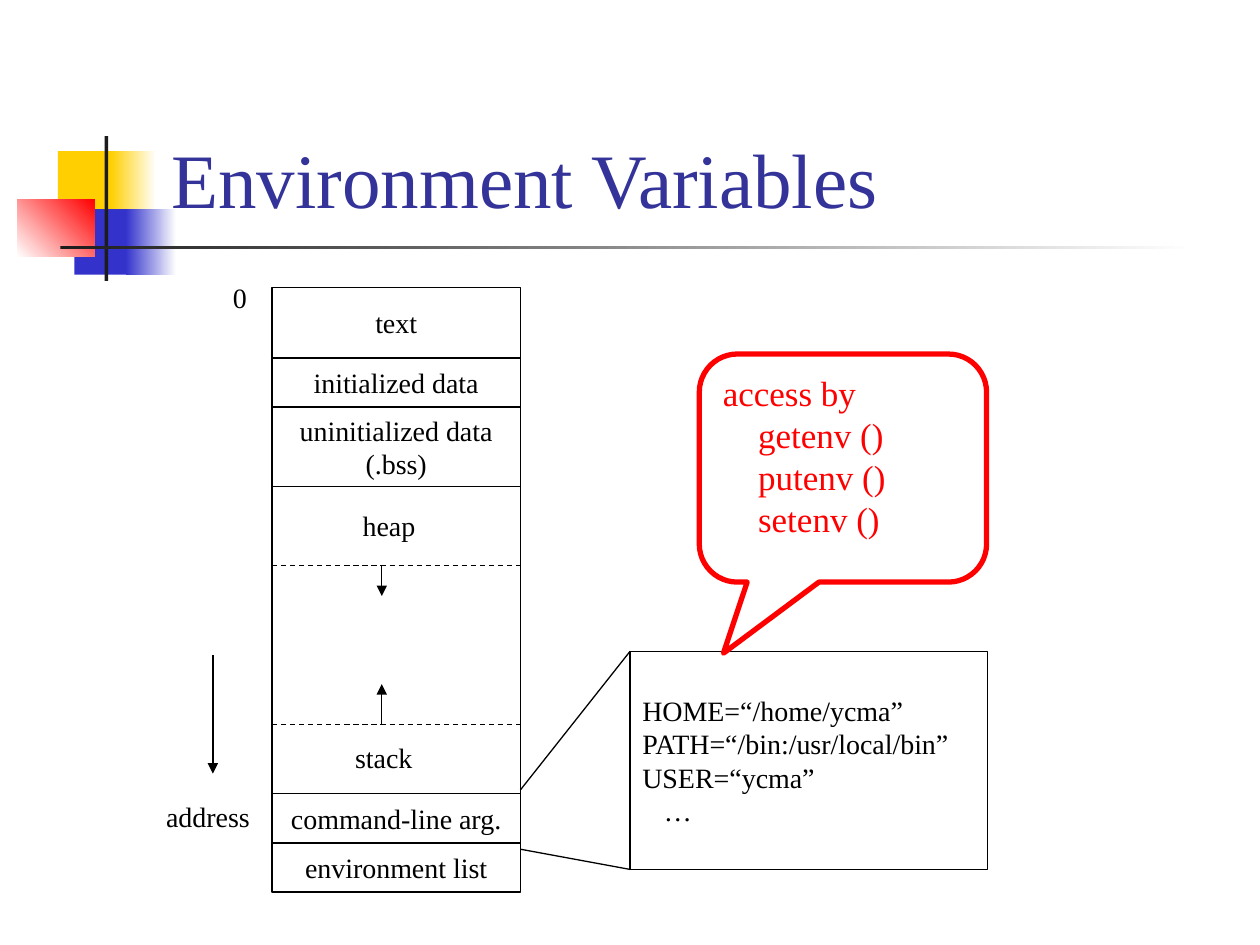
import pptx
import pptx.util
import pptx.dml.color
import pptx.enum.dml
import pptx.enum.shapes
import pptx.enum.text
import pptx.oxml.ns
from lxml import etree

INCH = pptx.util.Inches
KIND = pptx.enum.shapes.MSO_SHAPE
ALIGN = pptx.enum.text.PP_ALIGN
ANCHOR = pptx.enum.text.MSO_ANCHOR
FONT = "Times New Roman"
BLACK, WHITE, RED = "000000", "FFFFFF", "FF0000"
GOLD, BLUE, DARK, NAVY = "FFCF01", "3333CC", "1C1C1C", "333399"

TITLE = "Environment Variables"
DECOR = [
    ((0.46, 1.2, 0.48, 0.52), [GOLD], 0),
    ((0.88, 1.2, 0.36, 0.52), [GOLD, WHITE], 0),
    ((0.59, 1.66, 0.46, 0.52), [BLUE], 0),
    ((1, 1.66, 0.4, 0.52), [BLUE, WHITE], 0),
    ((0.14, 1.58, 0.61, 0.46), [WHITE, RED], 45),
    ((0.83, 1.08, 0.03, 1.15), [DARK], 0),
    ((0.48, 1.95, 9, 0.03), [DARK, WHITE], 0),
]
LEFT, TOP, WIDTH = 2.16, 2.28, 1.97
RIGHT = LEFT + WIDTH
MEMORY = [
    (["text"], 0.56),
    (["initialized data"], 0.39),
    (["uninitialized data", "(.bss)"], 0.63),
    ([], 2.44),
    (["command-line arg."], 0.39),
    (["environment list"], 0.39),
]
LABELS = [
    ("heap", (2.78, 3.99, 0.64, 0.37)),
    ("stack", (2.72, 5.83, 0.68, 0.37)),
    ("0", (1.75, 2.18, 0.33, 0.37)),
    ("address", (1.22, 6.3, 0.89, 0.37)),
]
HEAP, STACK, MID, AXIS = 4.49, 5.75, 3.03, 1.69
VARS = ["HOME=“/home/ycma”", "PATH=“/bin:/usr/local/bin”", "USER=“ycma”", "…"]
CALLS = ["access by", "getenv ()", "putenv ()", "setenv ()"]
LIST = (5, 5.17, 2.84, 1.73)
BUBBLE = (5.55, 2.81, 2.28, 1.81)
LINES = [
    ((LEFT, HEAP), (RIGHT, HEAP), "dash"),
    ((LEFT, STACK), (RIGHT, STACK), "dash"),
    ((MID, HEAP), (MID, 4.73), "arrow"),
    ((MID, STACK), (MID, 5.43), "arrow"),
    ((AXIS, 5.2), (AXIS, 6.14), "arrow"),
    ((RIGHT, 6.27), (LIST[0], LIST[1]), ""),
    ((RIGHT, 6.74), (LIST[0], LIST[1] + LIST[3]), ""),
]


def color(code):
    return pptx.dml.color.RGBColor.from_string(code)


def place(at):
    return [INCH(n) for n in at]


def write(frame, texts, size=16, code=BLACK, align=ALIGN.LEFT, dents=()):
    frame.text = "\n".join(texts)
    for n, para in enumerate(frame.paragraphs):
        para.alignment = align
        if n in dents:
            para._p.get_or_add_pPr().set("marL", str(INCH(dents[n])))
        for run in para.runs:
            run.font.name = FONT
            run.font.size = pptx.util.Pt(size)
            run.font.color.rgb = color(code)


def shape(slide, at, kind=KIND.RECTANGLE, code=BLACK, width=0.75):
    item = slide.shapes.add_shape(kind, *place(at))
    item.shadow.inherit = False
    item.fill.background()
    item.line.color.rgb = color(code)
    item.line.width = pptx.util.Pt(width)
    item.text_frame.word_wrap = True
    item.text_frame.vertical_anchor = ANCHOR.MIDDLE
    return item


def block(slide, at, codes, angle):
    item = shape(slide, at)
    item.line.fill.background()
    if len(codes) == 1:
        item.fill.solid()
        item.fill.fore_color.rgb = color(codes[0])
        return
    item.fill.gradient()
    item.fill.gradient_angle = angle
    for stop, code in zip(item.fill.gradient_stops, codes):
        stop.color.rgb = color(code)


def line(slide, start, end, style):
    item = slide.shapes.add_connector(
        pptx.enum.shapes.MSO_CONNECTOR.STRAIGHT, *place(start + end))
    item.line.color.rgb = color(BLACK)
    item.line.width = pptx.util.Pt(0.75)
    if style == "dash":
        item.line.dash_style = pptx.enum.dml.MSO_LINE.DASH
    if style == "arrow":
        etree.SubElement(item.line._get_or_add_ln(),
                         pptx.oxml.ns.qn("a:tailEnd"), type="triangle")
    etree.SubElement(item._element.spPr, pptx.oxml.ns.qn("a:effectLst"))


def main():
    deck = pptx.Presentation()
    deck.slide_width, deck.slide_height = INCH(10), INCH(7.5)
    slide = deck.slides.add_slide(deck.slide_layouts[5])

    for at, codes, angle in DECOR:
        block(slide, at, codes, angle)

    title = slide.shapes.title
    title.left, title.top, title.width, title.height = place((1.26, 0.23, 8.52, 1.6))
    title.text_frame.vertical_anchor = ANCHOR.BOTTOM
    write(title.text_frame, [TITLE], 44, NAVY)

    top = TOP
    for texts, height in MEMORY:
        cell = shape(slide, (LEFT, top, WIDTH, height))
        if texts:
            write(cell.text_frame, texts, align=ALIGN.CENTER)
        top += height

    for text, at in LABELS:
        label = slide.shapes.add_textbox(*place(at))
        label.text_frame.word_wrap = False
        label.text_frame.auto_size = pptx.enum.text.MSO_AUTO_SIZE.SHAPE_TO_FIT_TEXT
        write(label.text_frame, [text])

    table = shape(slide, LIST)
    write(table.text_frame, VARS, dents={3: 0.17})

    for start, end, style in LINES:
        line(slide, start, end, style)

    bubble = shape(slide, BUBBLE, KIND.ROUNDED_RECTANGULAR_CALLOUT, RED, 3)
    for n, value in enumerate((-0.416, 0.812, 0.167)):
        bubble.adjustments[n] = value
    bubble.text_frame.vertical_anchor = ANCHOR.TOP
    write(bubble.text_frame, CALLS, 20, RED, dents={1: 0.28, 2: 0.28, 3: 0.28})

    deck.save("out.pptx")


if __name__ == "__main__":
    main()
